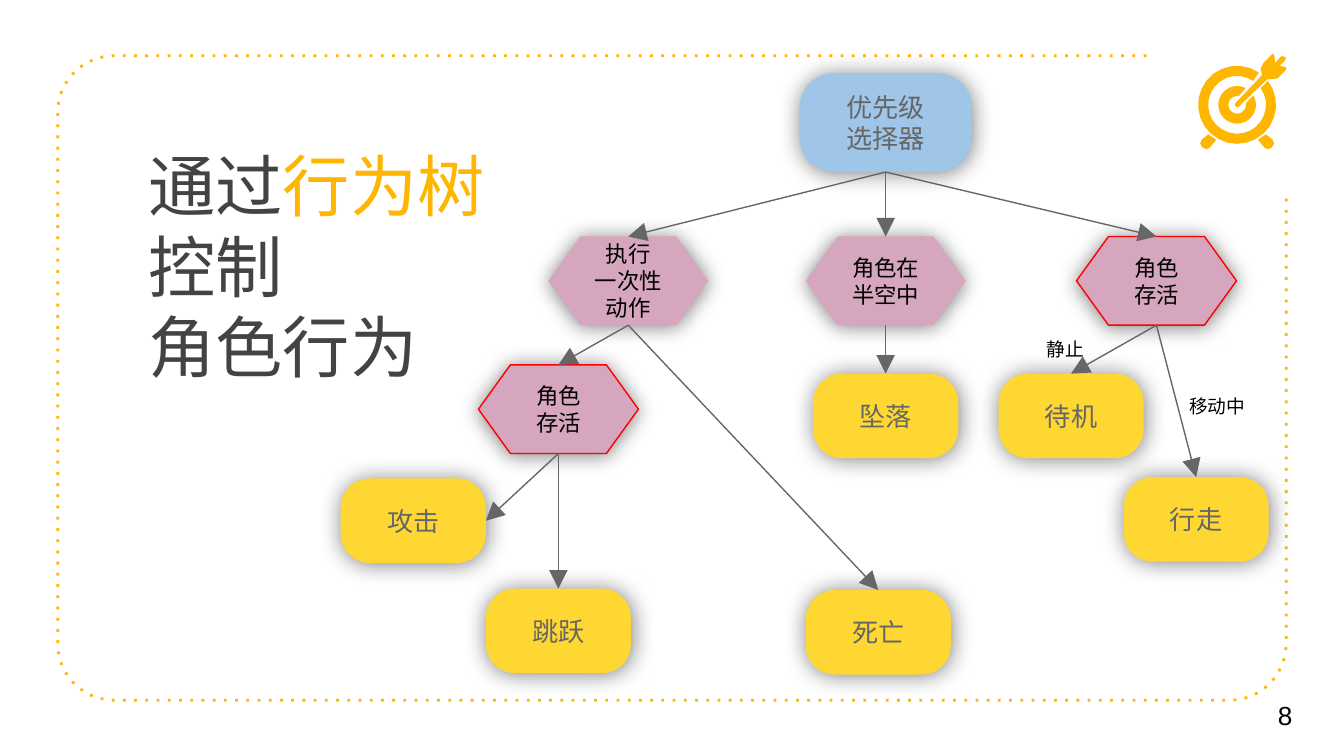
import math

import lxml.etree
import pptx
import pptx.dml.color
import pptx.enum.dml
import pptx.enum.shapes
import pptx.enum.text
import pptx.oxml.ns
import pptx.util

qn = pptx.oxml.ns.qn
color = pptx.dml.color.RGBColor.from_string
kinds = pptx.enum.shapes.MSO_SHAPE
anchors = pptx.enum.text.MSO_ANCHOR
aligns = pptx.enum.text.PP_ALIGN
ORANGE, YELLOW, BLUE, PINK = "FFB600", "FFD733", "9FC5E8", "D5A6BD"
GREY, DARK, BLACK, RED = "666666", "434343", "000000", "FF0000"

presentation = pptx.Presentation()
presentation.slide_width = pptx.util.Inches(10)
presentation.slide_height = presentation.slide_width * 9 // 16
slide = presentation.slides.add_slide(presentation.slide_layouts[5])
cell = presentation.slide_width // 100  # the grid has 100 columns of square cells


def arc(center_x, center_y, radius, start, end, steps=24):
    """Points on a circle, in cells; degrees run clockwise from the right."""
    angles = [math.radians(start + (end - start) * i / steps) for i in range(steps + 1)]
    return [(center_x + radius * math.cos(a), center_y + radius * math.sin(a)) for a in angles]


def write_text(shape, lines, size, font, anchor, align):
    """Each line is a paragraph, given as a list of (text, colour) runs."""
    frame = shape.text_frame
    frame.word_wrap = True
    frame.auto_size = pptx.enum.text.MSO_AUTO_SIZE.NONE
    frame.vertical_anchor = anchor
    frame.margin_left = frame.margin_right = frame.margin_top = frame.margin_bottom = cell
    for index, line in enumerate(lines):
        paragraph = frame.paragraphs[0] if index == 0 else frame.add_paragraph()
        paragraph.alignment = align
        for text, hex_color in line:
            run = paragraph.add_run()
            run.text = text
            run.font.size = pptx.util.Pt(size)
            run.font.color.rgb = color(hex_color)
            run.font.name = font
            east_asian = lxml.etree.SubElement(run.font._element, qn("a:ea"))
            east_asian.set("typeface", font)


# Dotted frame, open at the top right, and the target icon in that opening
left, top, right, bottom, corner = 4.3, 4.15, 95.7, 52.1, 4.2
frame_points = [
    (85.3, top),
    *arc(left + corner, top + corner, corner, 270, 180),
    *arc(left + corner, bottom - corner, corner, 180, 90),
    *arc(right - corner, bottom - corner, corner, 90, 0),
    (right, 14.6),
]
target_x, target_y = 92.05, 7.8
left_foot = [(89.9, 10), (89.4, 10.4), (89.3, 10.7), (89.5, 11),
             (89.8, 11.1), (90, 11), (90.5, 10.4)]
arrow = [(94.7, 4), (94, 4.7), (93.8, 5.1), (93.9, 5.6), (91.9, 7.7), (91.9, 7.9),
         (92.1, 8), (92.2, 7.9), (94.3, 5.9), (94.8, 5.9), (95.1, 5.8), (95.7, 5.2),
         (95.7, 5), (95.2, 4.9), (95.6, 4.5), (95.7, 4.3), (95.5, 4.2), (95.3, 4.2),
         (94.9, 4.7), (94.8, 4.1)]
icon_outlines = [
    arc(target_x, target_y, 2.9, -38, 304) + arc(target_x, target_y, 2.15, 304, -35),
    arc(target_x, target_y, 1.4, -30, 297) + arc(target_x, target_y, 0.65, 280, -10),
    left_foot,
    [(2 * target_x - x, y) for x, y in left_foot],
    arrow,
]
icon = slide.shapes.add_group_shape()
outlines = [(slide.shapes, frame_points, False)]
outlines += [(icon.shapes, points, True) for points in icon_outlines]
for parent, points, closed in outlines:
    scaled = [(x * 100, y * 100) for x, y in points]
    builder = parent.build_freeform(*scaled[0], scale=cell / 100)
    builder.add_line_segments(scaled[1:], close=closed)
    outline = builder.convert_to_shape()
    outline.shadow.inherit = False
    if closed:
        outline.fill.solid()
        outline.fill.fore_color.rgb = color(ORANGE)
        outline.line.fill.background()
    else:
        outline.fill.background()
        outline.line.color.rgb = color(ORANGE)
        outline.line.width = pptx.util.Pt(1.5)
        outline.line.dash_style = pptx.enum.dml.MSO_LINE.ROUND_DOT
        outline.line._ln.find(qn("a:prstDash")).set("val", "dot")

# Title
title = slide.shapes.title
title.left, title.top, title.width, title.height = (
    round(v * cell) for v in (10.05, 9.75, 29.7, 9.4))
write_text(title, [[("通过", DARK), ("行为树", ORANGE)], [("控制", DARK)], [("角色行为", DARK)]],
           36, "Manrope", anchors.TOP, aligns.LEFT)

# Behaviour tree nodes: kind -> preset, width, height, fill, outline, text size and
# colour, shadow blur and angle
styles = {
    "root": (kinds.ROUNDED_RECTANGLE, 12.8, 7.35, BLUE, None, 14, GREY, 12.4, 45),
    "action": (kinds.ROUNDED_RECTANGLE, 10.8, 6.3, YELLOW, None, 14, GREY, 12.4, 45),
    "condition": (kinds.FLOWCHART_PREPARATION, 11.9, 6.6, PINK, None, 12, BLACK, 11.2, 90),
    "alive": (kinds.FLOWCHART_PREPARATION, 11.9, 6.6, PINK, RED, 12, BLACK, 11.2, 90),
}
nodes = {
    "selector": ("root", 59.5, 5.45, ["优先级", "选择器"]),
    "one-off": ("condition", 40.8, 17.6, ["执行", "一次性", "动作"]),
    "airborne": ("condition", 59.95, 17.6, ["角色在半空中"]),
    "alive": ("alive", 80.1, 17.6, ["角色", "存活"]),
    "alive for action": ("alive", 35.6, 27.15, ["角色", "存活"]),
    "fall": ("action", 60.5, 27.8, ["坠落"]),
    "idle": ("action", 74.3, 27.8, ["待机"]),
    "walk": ("action", 83.6, 35.5, ["行走"]),
    "attack": ("action", 25.35, 35.6, ["攻击"]),
    "jump": ("action", 36.15, 43.8, ["跳跃"]),
    "die": ("action", 59.95, 43.9, ["死亡"]),
}
shapes = {}
for name, (style, x, y, lines) in nodes.items():
    preset, width, height, fill, edge, size, text_color, blur, angle = styles[style]
    shape = slide.shapes.add_shape(
        preset, *(round(v * cell) for v in (x, y, width, height)))
    if preset == kinds.ROUNDED_RECTANGLE:
        shape.adjustments[0] = 0.345
    shape.fill.solid()
    shape.fill.fore_color.rgb = color(fill)
    if edge:
        shape.line.color.rgb = color(edge)
        shape.line.width = pptx.util.Pt(0.75)
    else:
        shape.line.fill.background()
    shape.shadow.inherit = False
    effects = shape._element.spPr.find(qn("a:effectLst"))
    shadow = lxml.etree.SubElement(
        effects, qn("a:outerShdw"), blurRad=str(pptx.util.Pt(blur)),
        dist=str(pptx.util.Pt(0.8)), dir=str(angle * 60000), algn="bl", rotWithShape="0")
    shadow_color = lxml.etree.SubElement(shadow, qn("a:srgbClr"), val=BLACK)
    lxml.etree.SubElement(shadow_color, qn("a:alpha"), val="50000")
    write_text(shape, [[(line, text_color)] for line in lines],
               size, "Manrope", anchors.MIDDLE, aligns.CENTER)
    shapes[name] = shape

# Arrows from the bottom of a parent to the top or right side of a child
TOP, BOTTOM, RIGHT = 0, 2, 3
links = [
    ("selector", "one-off", TOP), ("selector", "airborne", TOP), ("selector", "alive", TOP),
    ("one-off", "alive for action", TOP), ("one-off", "die", TOP),
    ("alive for action", "attack", RIGHT), ("alive for action", "jump", TOP),
    ("airborne", "fall", TOP), ("alive", "idle", TOP), ("alive", "walk", TOP),
]
for parent, child, side in links:
    connector = slide.shapes.add_connector(
        pptx.enum.shapes.MSO_CONNECTOR.STRAIGHT, 0, 0, cell, cell)
    connector.begin_connect(shapes[parent], BOTTOM)
    connector.end_connect(shapes[child], side)
    connector.line.color.rgb = color(GREY)
    connector.line.width = pptx.util.Pt(0.75)
    lxml.etree.SubElement(connector.line._ln, qn("a:tailEnd"), type="triangle", w="lg", len="lg")
    lxml.etree.SubElement(connector._element.spPr, qn("a:effectLst"))

# Labels on the arrows and the page number
for text, x, y, width, height, size, anchor in [
    ("移动中", 87.5, 28.4, 7.4, 3, 10, anchors.TOP),
    ("静止", 76.9, 24.15, 7.4, 3, 10, anchors.TOP),
    ("8", 94.1, 50.2, 5.9, 6, 14, anchors.MIDDLE),
]:
    label = slide.shapes.add_textbox(*(round(v * cell) for v in (x, y, width, height)))
    write_text(label, [[(text, BLACK)]], size, "Arial", anchor, aligns.LEFT)

presentation.save("out.pptx")
